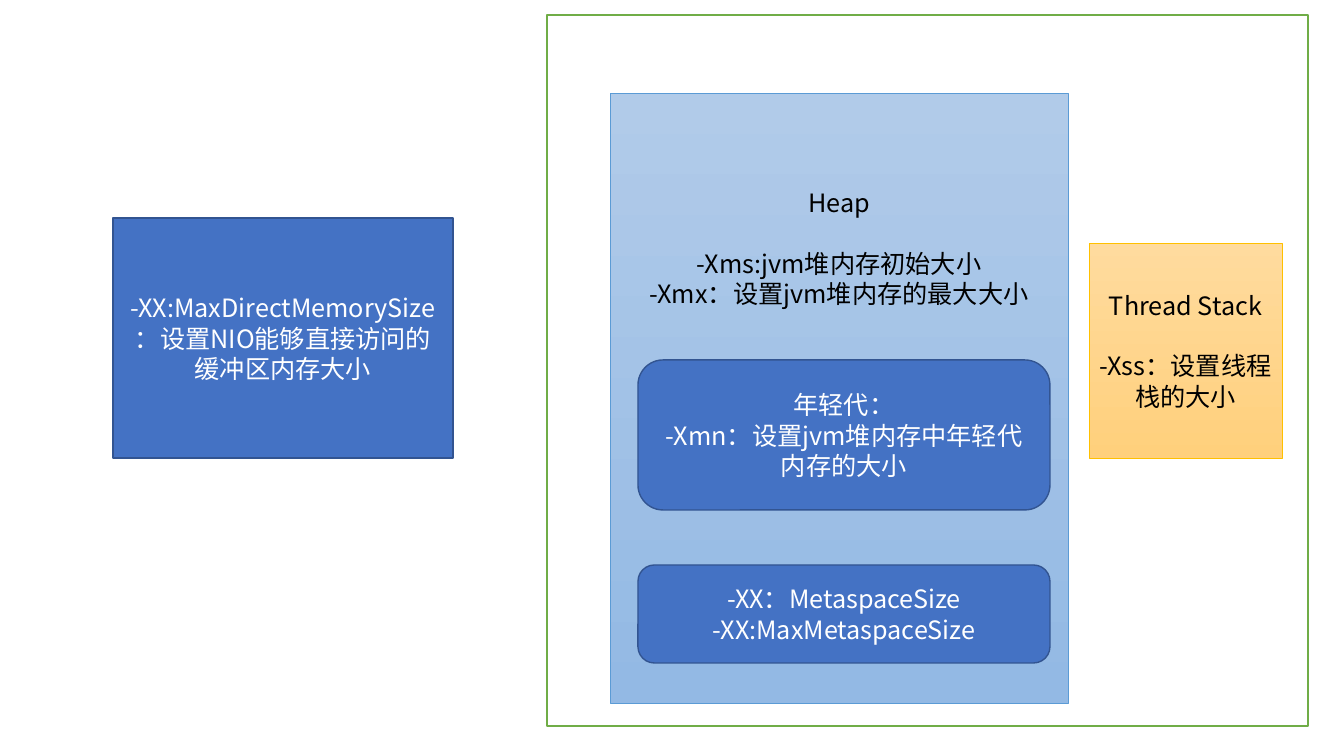
from dataclasses import dataclass

from lxml.etree import SubElement
from pptx import Presentation
from pptx.dml.color import RGBColor
from pptx.enum.shapes import MSO_SHAPE
from pptx.enum.text import MSO_ANCHOR, PP_ALIGN
from pptx.oxml.ns import qn
from pptx.slide import Slide
from pptx.text.text import TextFrame
from pptx.util import Emu, Pt

EMU_PER_PIXEL = 914400 / 100.8


@dataclass(frozen=True)
class Style:
    """Fill stops, outline and text colour of one kind of memory area."""
    fill: tuple[str, ...]
    line: str
    line_width: float
    text: str


@dataclass(frozen=True)
class Theme:
    """Colours and type sizes of the slide."""
    font: str = "Noto Sans CJK SC"
    size: float = 18
    line_height: float = 21.7
    option: Style = Style(("4472C4",), "325491", 1, "FFFFFF")
    process: Style = Style(("FFFFFF",), "70AD47", 1, "000000")
    heap: Style = Style(("B1CBE9", "93B9E4"), "5B9BD5", 0.5, "000000")
    stack: Style = Style(("FFDB9E", "FFD07C"), "FFC000", 0.5, "000000")


@dataclass(frozen=True)
class Area:
    """One memory area, with its box in pixels and its lines of text."""
    left: int
    top: int
    width: int
    height: int
    style: Style
    lines: tuple[str, ...] = ()
    titled: bool = False
    rounded: bool = False
    text_top: int | None = None


THEME = Theme()

AREAS = (
    Area(113, 218, 340, 240, THEME.option,
         ("-XX:MaxDirectMemorySize：设置NIO能够直接访问的缓冲区内存大小",)),
    Area(547, 15, 761, 711, THEME.process),
    Area(610, 93, 458, 610, THEME.heap,
         ("Heap", "-Xms:jvm堆内存初始大小", "-Xmx：设置jvm堆内存的最大大小"),
         titled=True, text_top=94),
    Area(1089, 243, 193, 215, THEME.stack,
         ("Thread Stack", "-Xss：设置线程栈的大小"), titled=True),
    Area(638, 360, 412, 150, THEME.option,
         ("年轻代：", "-Xmn：设置jvm堆内存中年轻代内存的大小"), rounded=True),
    Area(638, 565, 412, 98, THEME.option,
         ("-XX：MetaspaceSize", "-XX:MaxMetaspaceSize"), rounded=True),
)


def px(pixels: int) -> Emu:
    """Convert pixels to EMU."""
    return Emu(round(pixels * EMU_PER_PIXEL))


def write_lines(frame: TextFrame, area: Area) -> None:
    """Write the centred lines of an area, with a gap below its title."""
    frame.word_wrap = True
    frame.vertical_anchor = MSO_ANCHOR.MIDDLE
    if area.text_top is not None:
        frame.vertical_anchor = MSO_ANCHOR.TOP
        frame.margin_top = px(area.text_top)
    frame.text = "\n".join(area.lines)
    for index, paragraph in enumerate(frame.paragraphs):
        paragraph.alignment = PP_ALIGN.CENTER
        paragraph.line_spacing = Pt(THEME.line_height)
        if area.titled and index == 1:
            paragraph.space_before = Pt(THEME.line_height)
        paragraph.font.name = THEME.font
        paragraph.font.size = Pt(THEME.size)
        paragraph.font.color.rgb = RGBColor.from_string(area.style.text)
        defaults = paragraph._p.pPr.find(qn("a:defRPr"))
        SubElement(defaults, qn("a:ea"), typeface=THEME.font)


def draw_area(slide: Slide, area: Area) -> None:
    """Draw one memory area with its fill, outline and text."""
    outline = MSO_SHAPE.ROUNDED_RECTANGLE if area.rounded else MSO_SHAPE.RECTANGLE
    box = slide.shapes.add_shape(
        outline, px(area.left), px(area.top), px(area.width), px(area.height))
    box.shadow.inherit = False
    colours = [RGBColor.from_string(colour) for colour in area.style.fill]
    if len(colours) == 1:
        box.fill.solid()
        box.fill.fore_color.rgb = colours[0]
    else:
        box.fill.gradient()
        box.fill.gradient_angle = 270
        for stop, colour in zip(box.fill.gradient_stops, colours):
            stop.color.rgb = colour
    box.line.color.rgb = RGBColor.from_string(area.style.line)
    box.line.width = Pt(area.style.line_width)
    if area.lines:
        write_lines(box.text_frame, area)


def main() -> None:
    """Build the slide of JVM memory options."""
    deck = Presentation()
    deck.slide_width, deck.slide_height = px(1344), px(756)
    slide = deck.slides.add_slide(deck.slide_layouts[6])
    for area in AREAS:
        draw_area(slide, area)
    deck.save("out.pptx")


main()
